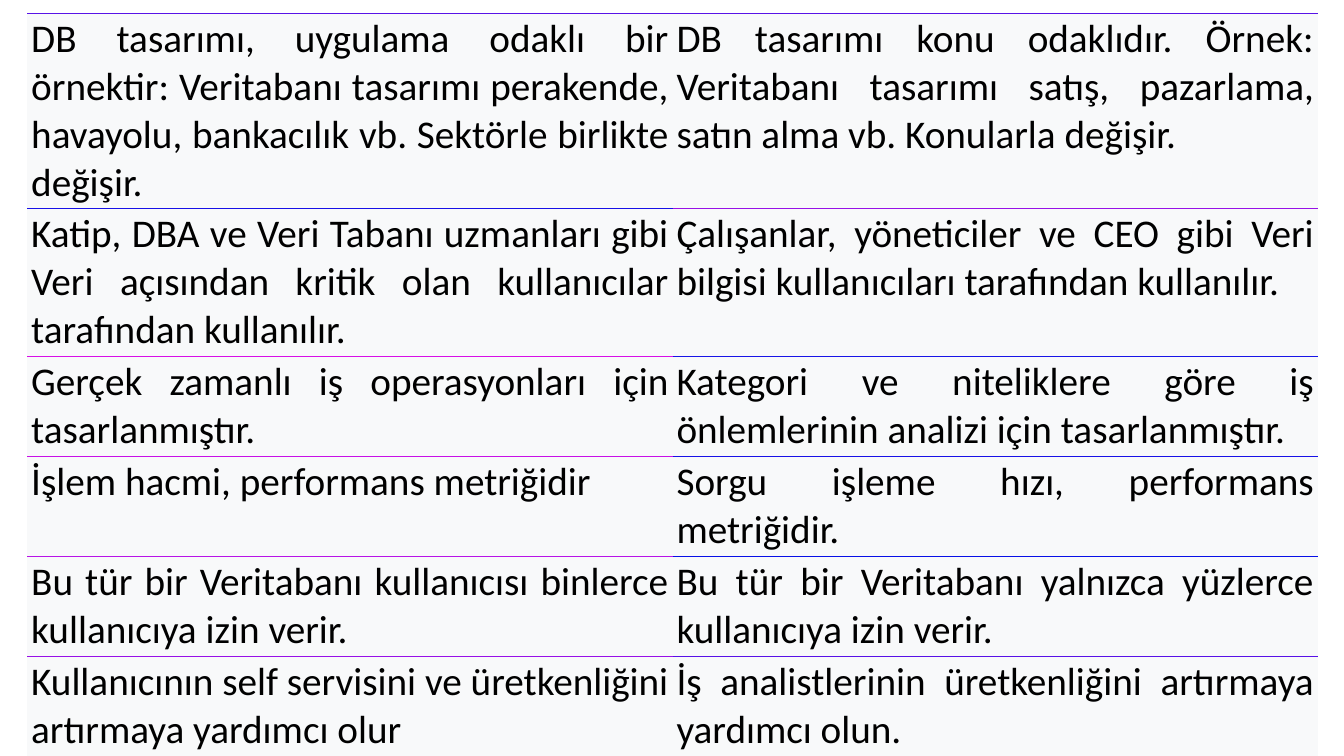
from lxml.etree import SubElement
from pptx import Presentation
from pptx.dml.color import RGBColor as RGB
from pptx.enum.text import PP_ALIGN as Align
from pptx.oxml.ns import qn
from pptx.util import Inches, Pt

COLORS = {"text": "000000", "cell": "F8F9FA"}
RULE_WIDTH = Pt(0.38)
ROW_HEIGHTS = [1.51, 1.02, 0.78, 0.53, 0.78, 0.78]

COMPARISON = [
    ("DB tasarımı, uygulama odaklı bir örnektir: Veritabanı tasarımı perakende, "
     "havayolu, bankacılık vb. Sektörle birlikte değişir.",
     "DB tasarımı konu odaklıdır. Örnek: Veritabanı tasarımı satış, pazarlama, "
     "satın alma vb. Konularla değişir."),
    ("Katip, DBA ve Veri Tabanı uzmanları gibi Veri açısından kritik olan "
     "kullanıcılar tarafından kullanılır.",
     "Çalışanlar, yöneticiler ve CEO gibi Veri bilgisi kullanıcıları "
     "tarafından kullanılır."),
    ("Gerçek zamanlı iş operasyonları için tasarlanmıştır.",
     "Kategori ve niteliklere göre iş önlemlerinin analizi için tasarlanmıştır."),
    ("İşlem hacmi, performans metriğidir",
     "Sorgu işleme hızı, performans metriğidir."),
    ("Bu tür bir Veritabanı kullanıcısı binlerce kullanıcıya izin verir.",
     "Bu tür bir Veritabanı yalnızca yüzlerce kullanıcıya izin verir."),
    ("Kullanıcının self servisini ve üretkenliğini artırmaya yardımcı olur",
     "İş analistlerinin üretkenliğini artırmaya yardımcı olun."),
]

# Rule colours above each row, then below the last one
RULES = [
    ("5813E7", "5813E7"),
    ("1811E7", "9812E7"),
    ("D80EE7", "1814E7"),
    ("C80FE7", "1811E7"),
    ("B813E7", "080FE7"),
    ("980FE7", "5810E7"),
    (None, None),
]


class ComparisonSlide:
    cell_format = {
        "margin_left": Inches(0.04), "margin_right": Inches(0.04),
        "margin_top": Inches(0.02), "margin_bottom": Inches(0.02),
    }
    font_format = {"name": "Calibri", "size": Pt(28), "bold": False}

    def __init__(self, deck):
        self.slide = deck.slides.add_slide(deck.slide_layouts[6])

    def apply(self, target, values):
        for attribute, value in values.items():
            setattr(target, attribute, value)

    def border(self, cell, side, color):
        """Draw one cell edge, or hide it when color is None."""
        properties = cell._tc.get_or_add_tcPr()
        edge = SubElement(properties, qn(f"a:ln{side}"), w=str(RULE_WIDTH))
        if color is None:
            SubElement(edge, qn("a:noFill"))
        else:
            fill = SubElement(edge, qn("a:solidFill"))
            SubElement(fill, qn("a:srgbClr"), val=color)

    def cell(self, cell, text, above, below):
        self.apply(cell, self.cell_format)
        for side, color in zip("LRTB", (None, None, above, below)):
            self.border(cell, side, color)
        cell.fill.solid()
        cell.fill.fore_color.rgb = RGB.from_string(COLORS["cell"])
        paragraph = cell.text_frame.paragraphs[0]
        paragraph.alignment = Align.JUSTIFY
        run = paragraph.add_run()
        run.text = text
        self.apply(run.font, self.font_format)
        run.font.color.rgb = RGB.from_string(COLORS["text"])

    def table(self, left, top, width, height, rows):
        frame = self.slide.shapes.add_table(
            len(rows), len(rows[0]), Inches(left), Inches(top),
            Inches(width), Inches(height))
        grid = frame.table
        self.apply(grid, {"first_row": False, "horz_banding": False})
        for r, texts in enumerate(rows):
            grid.rows[r].height = Inches(ROW_HEIGHTS[r])
            for c, text in enumerate(texts):
                self.cell(grid.cell(r, c), text, RULES[r][c], RULES[r + 1][c])
        frame.height = Inches(height)


def main():
    deck = Presentation()
    deck.slide_width, deck.slide_height = Inches(13.33), Inches(7.5)
    ComparisonSlide(deck).table(0.27, 0.13, 12.8, 7.25, COMPARISON)
    deck.save("out.pptx")


if __name__ == "__main__":
    main()
